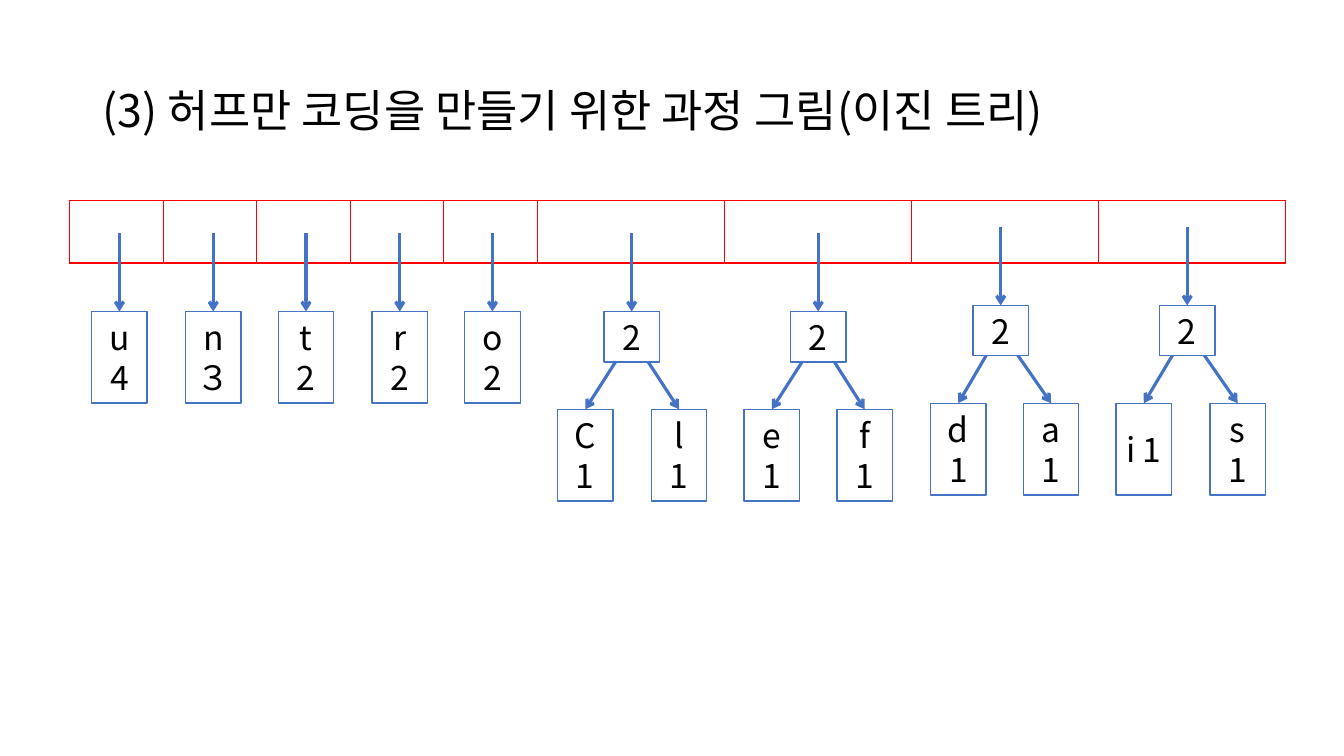
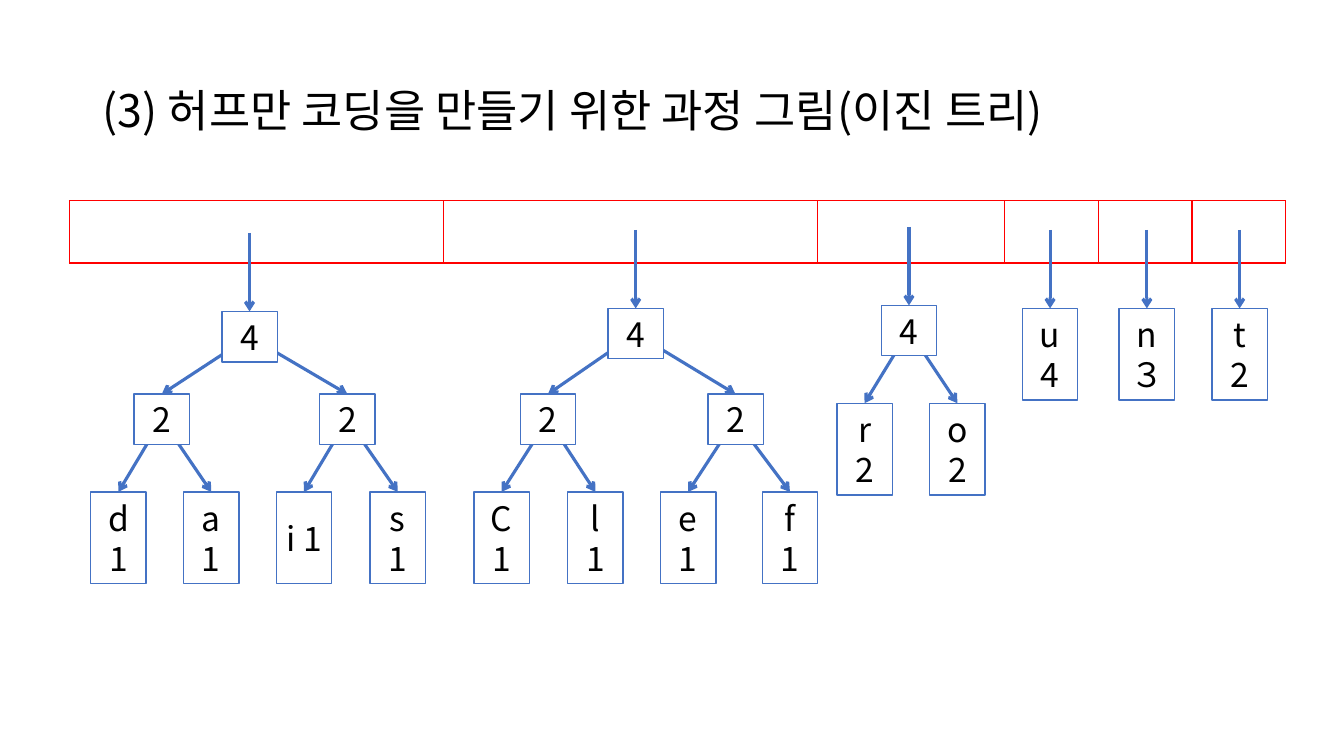
"""Build two slides showing the Huffman coding queue and its binary trees."""
from lxml import etree
from pptx import Presentation
from pptx.dml.color import RGBColor
from pptx.enum import shapes, text
from pptx.oxml import ns
from pptx.util import Inches, Pt

TITLE = "(3) 허프만 코딩을 만들기 위한 과정 그림(이진 트리)"
FONT = "Noto Sans CJK KR"
BLACK = RGBColor(0x00, 0x00, 0x00)
WHITE = RGBColor(0xFF, 0xFF, 0xFF)
BLUE = RGBColor(0x44, 0x72, 0xC4)
RED = RGBColor(0xFF, 0x00, 0x00)

QUEUE_LEFT, QUEUE_TOP, QUEUE_WIDTH, QUEUE_HEIGHT = 0.69, 1.99, 12.06, 0.62
NODE_WIDTH, LEAF_HEIGHT, BRANCH_HEIGHT = 0.55, 0.91, 0.5
SLOT_ARROW, LEAF_DROP, INNER_TOP = 0.78, 0.97, 3.91

# Node: label, left, children
STEPS = [
    {
        "slots": [1] * 5 + [2] * 4,
        "trees": [
            (3.09, ("u4", 0.91, [])),
            (3.09, ("n３", 1.84, [])),
            (3.09, ("t 2", 2.76, [])),
            (3.09, ("r 2", 3.69, [])),
            (3.09, ("o2", 4.61, [])),
            (3.09, ("2", 5.99, [("C1", 5.53, []), ("l 1", 6.46, [])])),
            (3.09, ("2", 7.84, [("e1", 7.38, []), ("f 1", 8.3, [])])),
            (3.03, ("2", 9.65, [("d1", 9.23, []), ("a1", 10.15, [])])),
            (3.03, ("2", 11.5, [("i 1", 11.07, []), ("s 1", 12, [])])),
        ],
    },
    {
        "slots": [4, 4, 2, 1, 1, 1],
        "trees": [
            (3.09, ("4", 2.2, [
                ("2", 1.33, [("d1", 0.9, []), ("a1", 1.82, [])]),
                ("2", 3.17, [("i 1", 2.74, []), ("s 1", 3.67, [])]),
            ])),
            (3.06, ("4", 6.03, [
                ("2", 5.16, [("C1", 4.7, []), ("l 1", 5.63, [])]),
                ("2", 7.02, [("e1", 6.55, []), ("f 1", 7.56, [])]),
            ])),
            (3.03, ("4", 8.74, [("r 2", 8.3, []), ("o2", 9.22, [])])),
            (3.06, ("u4", 10.14, [])),
            (3.06, ("n３", 11.1, [])),
            (3.06, ("t 2", 12.02, [])),
        ],
    },
]


def write(frame, words, size, **paragraph_format):
    frame.word_wrap = True
    frame.vertical_anchor = text.MSO_ANCHOR.MIDDLE
    paragraph = frame.paragraphs[0]
    for name, value in paragraph_format.items():
        setattr(paragraph, name, value)
    run = paragraph.add_run()
    run.text = words
    run.font.size = Pt(size)
    run.font.color.rgb = BLACK
    run.font.name = FONT
    etree.SubElement(run.font._element, ns.qn("a:ea"), typeface=FONT)


def add_title(slide):
    title = slide.shapes.add_textbox(Inches(0.92), Inches(0.4), Inches(11.5), Inches(1.45))
    write(title.text_frame, TITLE, 32, line_spacing=0.9)


def add_queue(slide, slots):
    queue = slide.shapes.add_table(
        1, len(slots), Inches(QUEUE_LEFT), Inches(QUEUE_TOP),
        Inches(QUEUE_WIDTH), Inches(QUEUE_HEIGHT)).table
    queue.first_row = queue.horz_banding = False
    for column, cell, span in zip(queue.columns, queue.iter_cells(), slots):
        column.width = Inches(QUEUE_WIDTH * span / sum(slots))
        properties = cell._tc.get_or_add_tcPr()
        for side in ("lnL", "lnR", "lnT", "lnB"):
            border = etree.SubElement(properties, ns.qn(f"a:{side}"), w=str(Pt(1)))
            fill = etree.SubElement(border, ns.qn("a:solidFill"))
            etree.SubElement(fill, ns.qn("a:srgbClr"), val=str(RED))
        cell.fill.solid()
        cell.fill.fore_color.rgb = WHITE


def add_arrow(slide, x, y, target):
    arrow = slide.shapes.add_connector(
        shapes.MSO_CONNECTOR.STRAIGHT, Inches(x), Inches(y), Inches(x), Inches(y))
    arrow.end_connect(target, 0)
    arrow.line.color.rgb = BLUE
    arrow.line.width = Pt(2.25)
    etree.SubElement(arrow.line._get_or_add_ln(), ns.qn("a:tailEnd"), type="arrow")
    etree.SubElement(arrow._element.spPr, ns.qn("a:effectLst"))


def add_node(slide, node, top):
    label, left, children = node
    height = BRANCH_HEIGHT if children else LEAF_HEIGHT
    for child in children:
        child_top = INNER_TOP if child[2] else top + LEAF_DROP
        child_box = add_node(slide, child, child_top)
        add_arrow(slide, left + NODE_WIDTH / 2, top + height / 2, child_box)
    box = slide.shapes.add_shape(
        shapes.MSO_SHAPE.RECTANGLE, Inches(left), Inches(top),
        Inches(NODE_WIDTH), Inches(height))
    box.shadow.inherit = False
    box.fill.solid()
    box.fill.fore_color.rgb = WHITE
    box.line.color.rgb = BLUE
    box.line.width = Pt(1)
    write(box.text_frame, label, 24, alignment=text.PP_ALIGN.CENTER)
    return box


def main():
    deck = Presentation()
    deck.slide_width, deck.slide_height = Inches(13.33), Inches(7.5)
    for step in STEPS:
        slide = deck.slides.add_slide(deck.slide_layouts[6])
        add_title(slide)
        add_queue(slide, step["slots"])
        for top, root in step["trees"]:
            root_box = add_node(slide, root, top)
            add_arrow(slide, root[1] + NODE_WIDTH / 2, top - SLOT_ARROW, root_box)
    deck.save("out.pptx")


if __name__ == "__main__":
    main()
